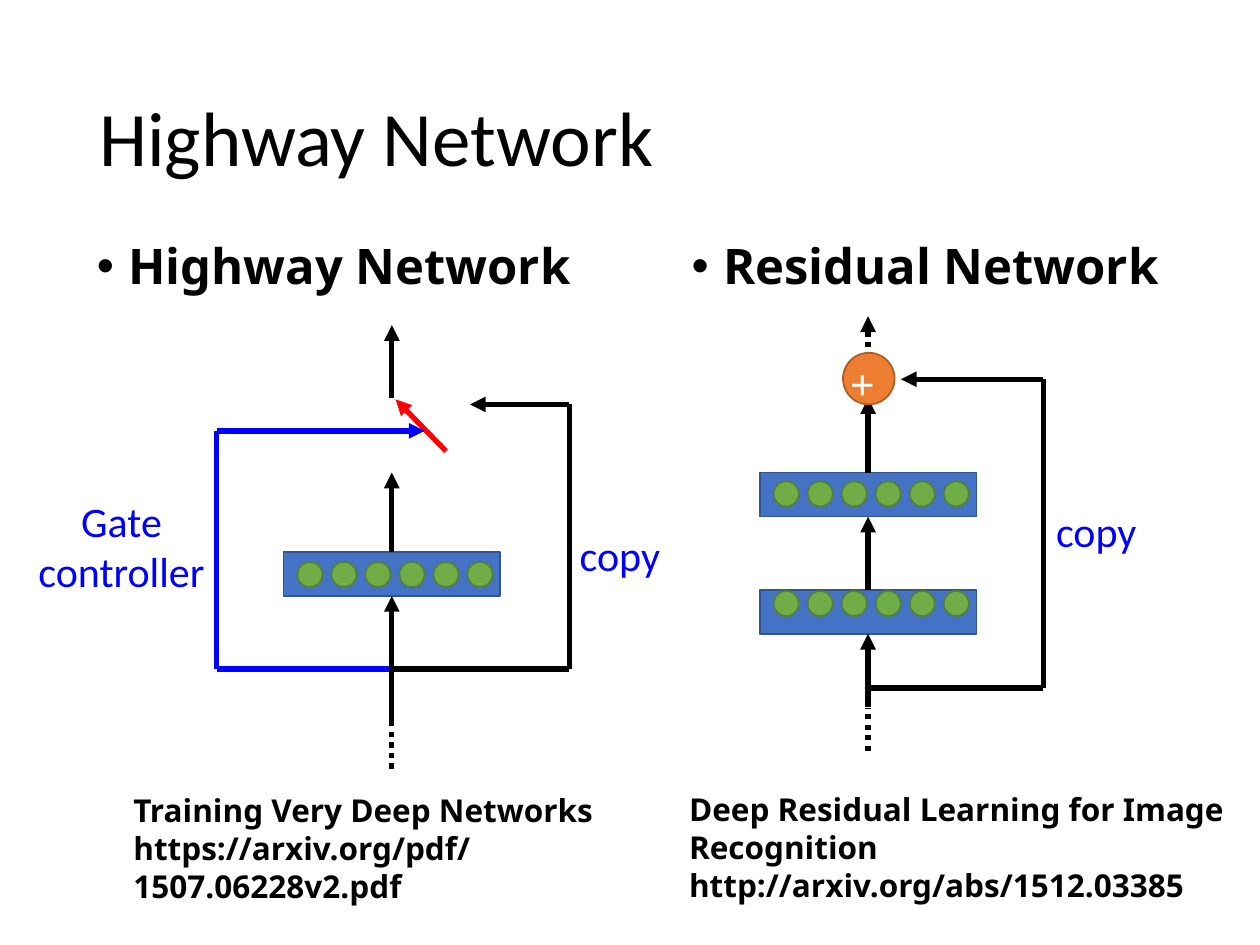
from dataclasses import dataclass
from itertools import pairwise

from lxml.etree import SubElement
from pptx import Presentation
from pptx.dml.color import RGBColor
from pptx.enum.dml import MSO_LINE_DASH_STYLE as Dash
from pptx.enum.shapes import MSO_CONNECTOR as Connector, MSO_SHAPE as Shape
from pptx.enum.text import MSO_ANCHOR as Anchor, PP_ALIGN as Align
from pptx.oxml.ns import qn
from pptx.util import Inches, Pt

TOP, BOTTOM = 0, 2


@dataclass(frozen=True)
class Theme:
    """Colours, fonts and sizes of the slide."""
    black: str = "000000"
    white: str = "FFFFFF"
    blue: str = "0000FF"
    red: str = "FF0000"
    layer: tuple = ("4472C4", "325491")
    neuron: tuple = ("70AD47", "538035")
    plus: tuple = ("ED7D31", "AF5C24")
    plain: str = "Calibri"
    strong: str = "Noto Sans"
    title: int = 44
    heading: int = 28
    label: int = 24
    reference: int = 18
    outline: int = 1
    stroke: int = 3


THEME = Theme()


def rgb(value):
    """Turn a hex string into a colour."""
    return RGBColor.from_string(value)


def style(para, size, face, color, bold=False):
    """Format every run of a paragraph."""
    for span in para.runs:
        font = span.font
        font.size, font.name, font.bold = Pt(size), face, bold
        font.color.rgb = rgb(color)


def add_text(page, place, lines, size, face=THEME.plain, color=THEME.black,
             bold=False, align=Align.LEFT, anchor=Anchor.TOP, spacing=1.0):
    """Add a wrapping text box and return its paragraphs."""
    frame = page.shapes.add_textbox(*map(Inches, place)).text_frame
    frame.word_wrap = True
    frame.vertical_anchor = anchor
    frame.text = "\n".join(lines)
    for para in frame.paragraphs:
        para.alignment, para.line_spacing = align, spacing
        style(para, size, face, color, bold)
    return frame.paragraphs


def add_heading(page, left, text):
    """Add the bulleted heading of one column."""
    para = add_text(page, (left, 1.87, 4.25, 0.6), [text], THEME.heading,
                    THEME.strong, bold=True, spacing=0.9)[0]
    props = para._p.get_or_add_pPr()
    props.set("marL", str(Inches(0.25)))
    props.set("indent", str(Inches(-0.25)))
    SubElement(props, qn("a:buFont"), typeface="Arial")
    SubElement(props, qn("a:buChar"), char="•")


def add_reference(page, place, lines):
    """Add a bold paper title with its address."""
    add_text(page, place, lines, THEME.reference, THEME.strong, bold=True)


def add_label(page, place, text):
    """Add a centred blue label."""
    add_text(page, place, [text], THEME.label, color=THEME.blue,
             align=Align.CENTER)


def add_figure(page, kind, place, colors):
    """Add a filled and outlined preset shape."""
    shape = page.shapes.add_shape(kind, *map(Inches, place))
    shape.shadow.inherit = False
    fill, line = colors
    shape.fill.solid()
    shape.fill.fore_color.rgb = rgb(fill)
    shape.line.color.rgb = rgb(line)
    shape.line.width = Pt(THEME.outline)
    return shape


def add_layer(page, axis, top, neuron_top):
    """Add a layer of six neurons centred on an axis."""
    box = add_figure(page, Shape.RECTANGLE, (axis - 0.86, top, 1.72, 0.35),
                     THEME.layer)
    for index in range(6):
        left = axis - 0.75 + 0.27 * index
        add_figure(page, Shape.OVAL, (left, neuron_top, 0.2, 0.2),
                   THEME.neuron)
    return box


def add_plus(page, axis, top):
    """Add the round sum node."""
    node = add_figure(page, Shape.OVAL, (axis - 0.2, top, 0.41, 0.41),
                      THEME.plus)
    frame = node.text_frame
    frame.text = "+"
    frame.vertical_anchor = Anchor.MIDDLE
    para = frame.paragraphs[0]
    para.alignment = Align.CENTER
    para._p.get_or_add_pPr().set("rtl", "1")
    style(para, THEME.label, THEME.plain, THEME.white)


def add_line(page, start, end, color=THEME.black, arrow=True, dotted=False,
             source=None, target=None):
    """Add a straight line, joined to a source's top or target's bottom."""
    line = page.shapes.add_connector(Connector.STRAIGHT,
                                     *map(Inches, (*start, *end)))
    line.line.color.rgb = rgb(color)
    line.line.width = Pt(THEME.stroke)
    if dotted:
        line.line.dash_style = Dash.ROUND_DOT
    if arrow:
        SubElement(line.line._get_or_add_ln(), qn("a:tailEnd"),
                   type="triangle")
    SubElement(line._element.spPr, qn("a:effectLst"))
    if source is not None:
        line.begin_connect(source, TOP)
    if target is not None:
        line.end_connect(target, BOTTOM)


def add_route(page, points, color=THEME.black):
    """Add a bent path whose last leg carries an arrowhead."""
    legs = list(pairwise(points))
    for index, (start, end) in enumerate(legs, 1):
        add_line(page, start, end, color, arrow=index == len(legs))


def add_highway(page):
    """Draw the gated network on the left."""
    axis = 3.11
    layer = add_layer(page, axis, 4.38, 4.46)
    add_line(page, (3.54, 3.58), (3.14, 3.17), THEME.red)
    add_line(page, (axis, 3.16), (axis, 2.58))
    add_line(page, (axis, 4.38), (axis, 3.75), source=layer)
    add_line(page, (axis, 6.1), (axis, 5.77), arrow=False, dotted=True)
    add_route(page, [(axis, 5.31), (4.52, 5.31), (4.52, 3.21), (3.73, 3.21)])
    add_route(page, [(axis, 5.31), (1.72, 5.31), (1.72, 3.42), (3.37, 3.42)],
              THEME.blue)
    add_line(page, (axis, 5.76), (axis, 4.73), target=layer)
    add_label(page, (4.41, 4.15, 1.02, 0.5), "copy")
    add_label(page, (0.18, 3.88, 1.57, 0.91), "Gate controller")


def add_residual(page):
    """Draw the network with a skip path on the right."""
    axis = 6.89
    upper = add_layer(page, axis, 3.75, 3.82)
    lower = add_layer(page, axis, 4.68, 4.69)
    add_line(page, (axis, 4.68), (axis, 4.1), source=lower, target=upper)
    add_line(page, (axis, 5.61), (axis, 5.03), target=lower)
    add_line(page, (axis, 3.75), (axis, 3.16), source=upper)
    add_line(page, (axis, 5.96), (axis, 5.62), arrow=False, dotted=True)
    add_line(page, (axis, 3.09), (axis, 2.51), dotted=True)
    add_plus(page, axis, 2.8)
    add_route(page, [(axis, 5.46), (8.28, 5.46), (8.28, 3.01), (7.15, 3.01)])
    add_label(page, (8.19, 3.96, 1.02, 0.5), "copy")


def main():
    """Build and save the slide."""
    deck = Presentation()
    deck.slide_width, deck.slide_height = Inches(10), Inches(7.5)
    page = deck.slides.add_slide(deck.slide_layouts[6])
    add_text(page, (0.69, 0.4, 8.62, 1.45), ["Highway Network"], THEME.title,
             anchor=Anchor.MIDDLE, spacing=0.9)
    add_heading(page, 0.67, "Highway Network")
    add_heading(page, 5.39, "Residual Network")
    add_reference(page, (0.96, 6.23, 4.11, 1.01),
                  ["Training Very Deep Networks",
                   "https://arxiv.org/pdf/1507.06228v2.pdf"])
    add_reference(page, (5.37, 6.22, 4.52, 1.01),
                  ["Deep Residual Learning for Image Recognition",
                   "http://arxiv.org/abs/1512.03385"])
    add_highway(page)
    add_residual(page)
    deck.save("out.pptx")


if __name__ == "__main__":
    main()
